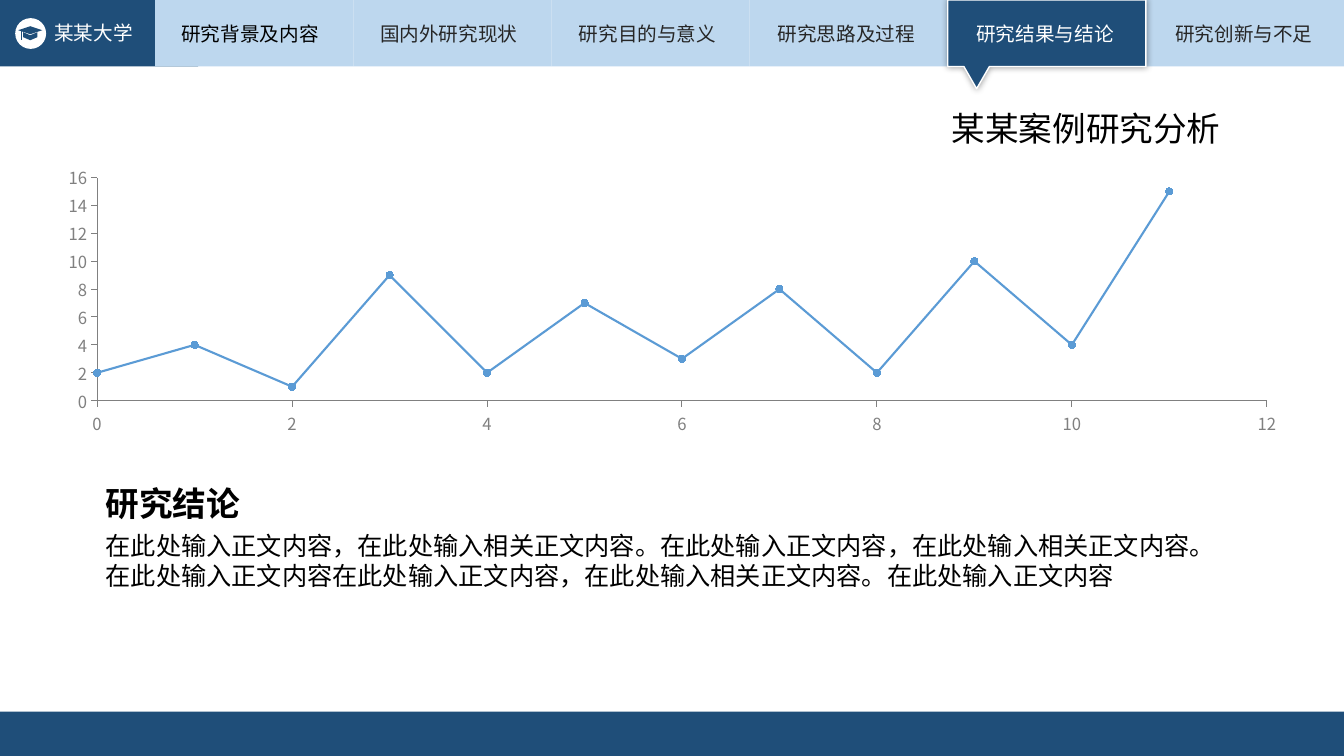
from lxml import etree
from pptx import Presentation
from pptx.chart.data import XyChartData
from pptx.dml.color import RGBColor
from pptx.enum.chart import XL_CHART_TYPE, XL_MARKER_STYLE, XL_TICK_MARK
from pptx.enum.shapes import MSO_SHAPE
from pptx.enum.text import MSO_ANCHOR, MSO_AUTO_SIZE, PP_ALIGN
from pptx.oxml import parse_xml
from pptx.oxml.ns import nsdecls, qn
from pptx.util import Inches, Pt

# All places and sizes are percentages of the slide's width and height
W, H = 13.33, 7.5
FONT = "Noto Sans CJK SC"
NAVY, PALE, WHITE, BLACK = "1F4E79", "BDD7EE", "FFFFFF", "000000"
DARK, GRAY, BLUE = "262626", "808080", "5B9BD5"

TABS = ["研究背景及内容", "国内外研究现状", "研究目的与意义",
        "研究思路及过程", "研究结果与结论", "研究创新与不足"]
ACTIVE = 4
BAR_H, SCHOOL_W = 8.8, 11.55
TAB_W = (100 - SCHOOL_W) / len(TABS)
LABEL_LEFT, LABEL_STEP = 12.75, 14.79

BODY = ("在此处输入正文内容，在此处输入相关正文内容。"
        "在此处输入正文内容，在此处输入相关正文内容。"
        "在此处输入正文内容在此处输入正文内容，在此处输入相关正文内容。"
        "在此处输入正文内容")
RESULTS = [2, 4, 1, 9, 2, 7, 3, 8, 2, 10, 4, 15]


def across(share):
    return Inches(W * share / 100)


def down(share):
    return Inches(H * share / 100)


def box(x, y, w, h):
    return across(x), down(y), across(w), down(h)


def rgb(value):
    return RGBColor.from_string(value)


def set_attrs(obj, values):
    for name, value in values.items():
        setattr(obj, name, value)


def paint(sp, fill):
    sp.shadow.inherit = False
    sp.fill.solid()
    sp.fill.fore_color.rgb = rgb(fill)
    sp.line.fill.background()
    return sp


def add_block(slide, place, fill, kind=MSO_SHAPE.RECTANGLE):
    return paint(slide.shapes.add_shape(kind, *box(*place)), fill)


def add_polygon(slide, points, fill):
    start, *rest = [(across(x), down(y)) for x, y in points]
    builder = slide.shapes.build_freeform(*start)
    builder.add_line_segments(rest, close=True)
    return paint(builder.convert_to_shape(), fill)


def write(sp, text, size, color=BLACK, bold=False, wrap=False, spacing=None):
    tf = sp.text_frame
    set_attrs(tf, {"word_wrap": wrap, "auto_size": MSO_AUTO_SIZE.SHAPE_TO_FIT_TEXT,
                   "vertical_anchor": MSO_ANCHOR.TOP})
    p = tf.paragraphs[0]
    set_attrs(p, {"alignment": PP_ALIGN.LEFT, "line_spacing": spacing})
    r = p.add_run()
    r.text = text
    set_attrs(r.font, {"name": FONT, "size": Pt(size), "bold": bold})
    r.font.color.rgb = rgb(color)
    etree.SubElement(r.font._element, qn("a:ea")).set("typeface", FONT)


def add_text(slide, place, text, size, **style):
    write(slide.shapes.add_textbox(*box(*place)), text, size, **style)


def add_glow_shadow(sp):
    effects = sp._element.spPr.find(qn("a:effectLst"))
    effects.append(parse_xml(
        f'<a:outerShdw {nsdecls("a")} blurRad="{Pt(5)}" dist="0" dir="0">'
        '<a:srgbClr val="000000"><a:alpha val="40000"/></a:srgbClr></a:outerShdw>'))


def add_school(slide):
    # The school block runs under the first tab
    add_block(slide, (0, 0, TAB_W, BAR_H), NAVY)


def add_cap_badge(slide):
    add_block(slide, (1.13, 2.4, 2.3, 4.07), WHITE, MSO_SHAPE.OVAL)
    board = [(1.35, 4), (2.25, 3.47), (3.15, 4), (2.25, 4.53)]
    crown = [(1.73, 4.27), (2.25, 4.67), (2.78, 4.27),
             (2.78, 4.93), (2.25, 5.33), (1.73, 4.93)]
    tassel = [(1.58, 4.13), (1.65, 4.13), (1.65, 5.33), (1.58, 5.33)]
    for part in (board, crown, tassel):
        add_polygon(slide, part, NAVY)


def add_tabs(slide):
    for i in range(len(TABS)):
        add_block(slide, (SCHOOL_W + i * TAB_W, 0, TAB_W, BAR_H), PALE)

    # Active tab with its pointer
    left = SCHOOL_W + ACTIVE * TAB_W
    right = left + TAB_W
    sp = add_polygon(slide, [(left, 0), (right, 0), (right, BAR_H),
                             (left + 3.1, BAR_H), (left + 2.15, 11.73),
                             (left + 1.2, BAR_H), (left, BAR_H)], NAVY)
    sp.line.color.rgb = rgb(WHITE)
    sp.line.width = Pt(1)
    add_glow_shadow(sp)

    colors = {0: BLACK, ACTIVE: WHITE}
    for i, label in enumerate(TABS):
        add_text(slide, (LABEL_LEFT + i * LABEL_STEP, 2.27, 11.85, 4.53),
                 label, 14, color=colors.get(i, DARK))


def add_results_chart(slide, place):
    data = XyChartData()
    series = data.add_series("Series 1")
    for x, y in enumerate(RESULTS):
        series.add_data_point(x, y)
    chart = slide.shapes.add_chart(XL_CHART_TYPE.XY_SCATTER_SMOOTH, *box(*place), data).chart
    set_attrs(chart, {"has_legend": False, "has_title": False})
    set_attrs(chart.font, {"name": FONT, "size": Pt(11.9)})
    chart.font.color.rgb = rgb(GRAY)
    chart.plots[0].vary_by_categories = False

    for axis, top in ((chart.category_axis, 12), (chart.value_axis, 16)):
        set_attrs(axis, {"minimum_scale": 0, "maximum_scale": top, "major_unit": 2,
                         "has_major_gridlines": False,
                         "major_tick_mark": XL_TICK_MARK.OUTSIDE,
                         "minor_tick_mark": XL_TICK_MARK.NONE})
        axis.format.line.color.rgb = rgb(GRAY)
        axis.format.line.width = Pt(0.75)

    curve = chart.plots[0].series[0]
    curve.smooth = True
    curve.format.line.color.rgb = rgb(BLUE)
    curve.format.line.width = Pt(1.5)
    set_attrs(curve.marker, {"style": XL_MARKER_STYLE.CIRCLE, "size": 5})
    curve.marker.format.fill.solid()
    curve.marker.format.fill.fore_color.rgb = rgb(BLUE)
    curve.marker.format.line.color.rgb = rgb(BLUE)


def main():
    prs = Presentation()
    set_attrs(prs, {"slide_width": Inches(W), "slide_height": Inches(H)})
    slide = prs.slides.add_slide(prs.slide_layouts[5])

    # Navigation bar
    add_school(slide)
    add_tabs(slide)
    add_cap_badge(slide)
    add_text(slide, (3.3, 2.13, 7.43, 4.53), "某某大学", 14, color=WHITE)

    # Footer band
    add_block(slide, (0, 94.13, 100, 5.87), NAVY)

    # Title
    title = slide.shapes.title
    set_attrs(title, dict(zip(("left", "top", "width", "height"),
                              box(70.06, 12, 21.68, 7.73))))
    write(title, "某某案例研究分析", 24, spacing=1.3)

    # Chart and conclusion
    add_results_chart(slide, (3.23, 21.07, 93.6, 37.33))
    add_text(slide, (7.13, 63.2, 11.93, 6.27), "研究结论", 24, bold=True, wrap=True)
    add_text(slide, (7.13, 69.47, 84.6, 9.47), BODY, 18, wrap=True)

    prs.save("out.pptx")


if __name__ == "__main__":
    main()
